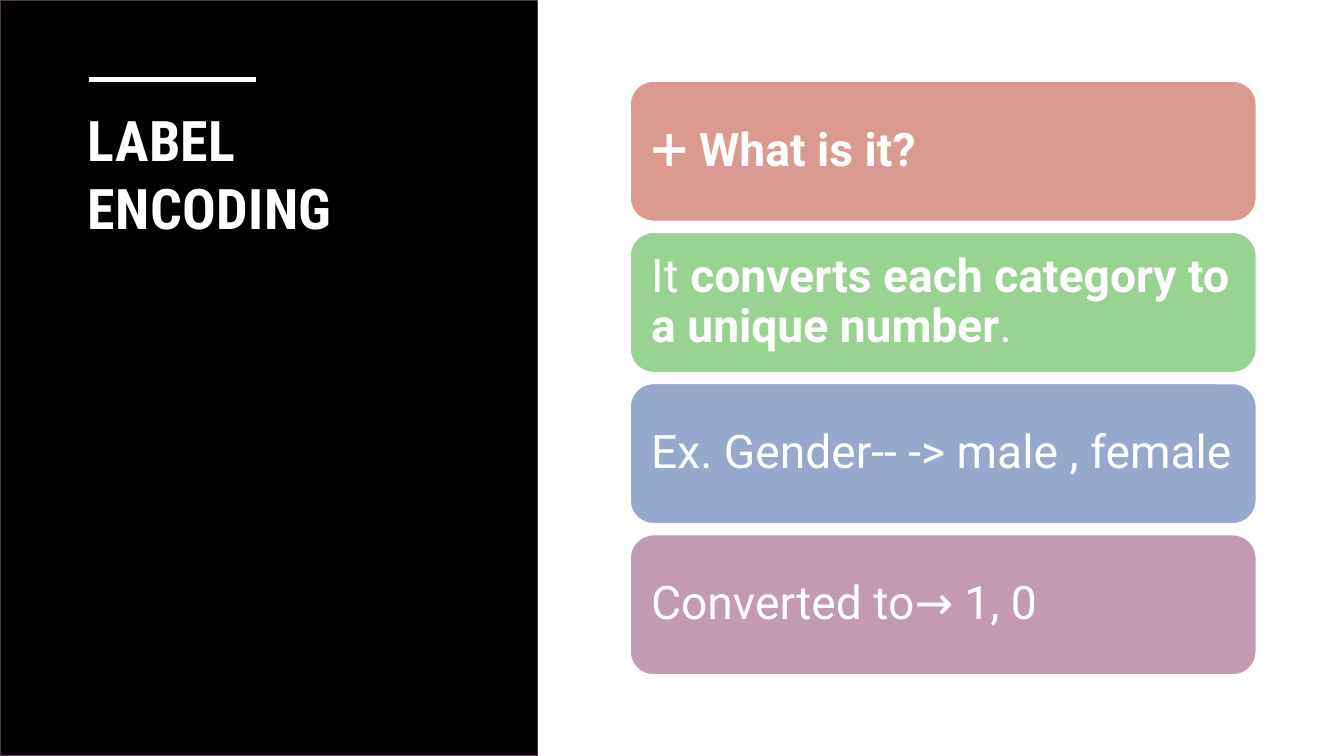
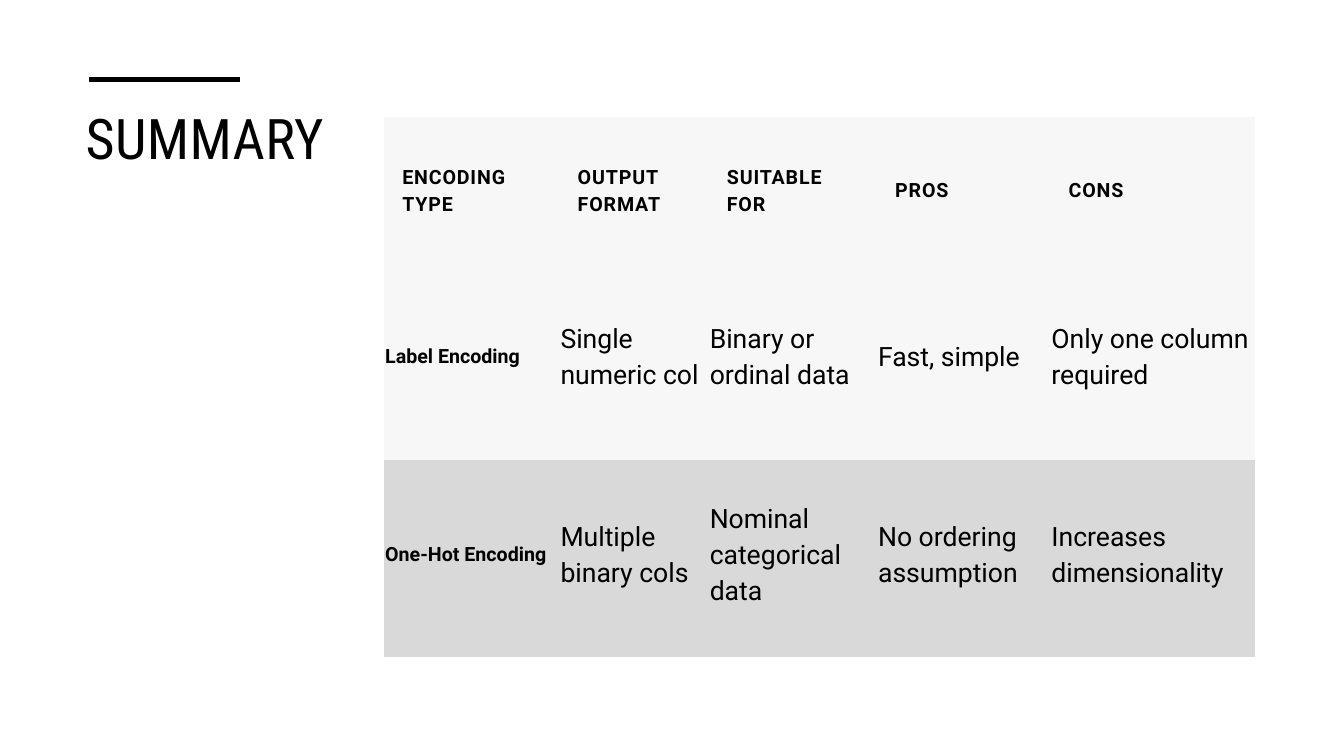
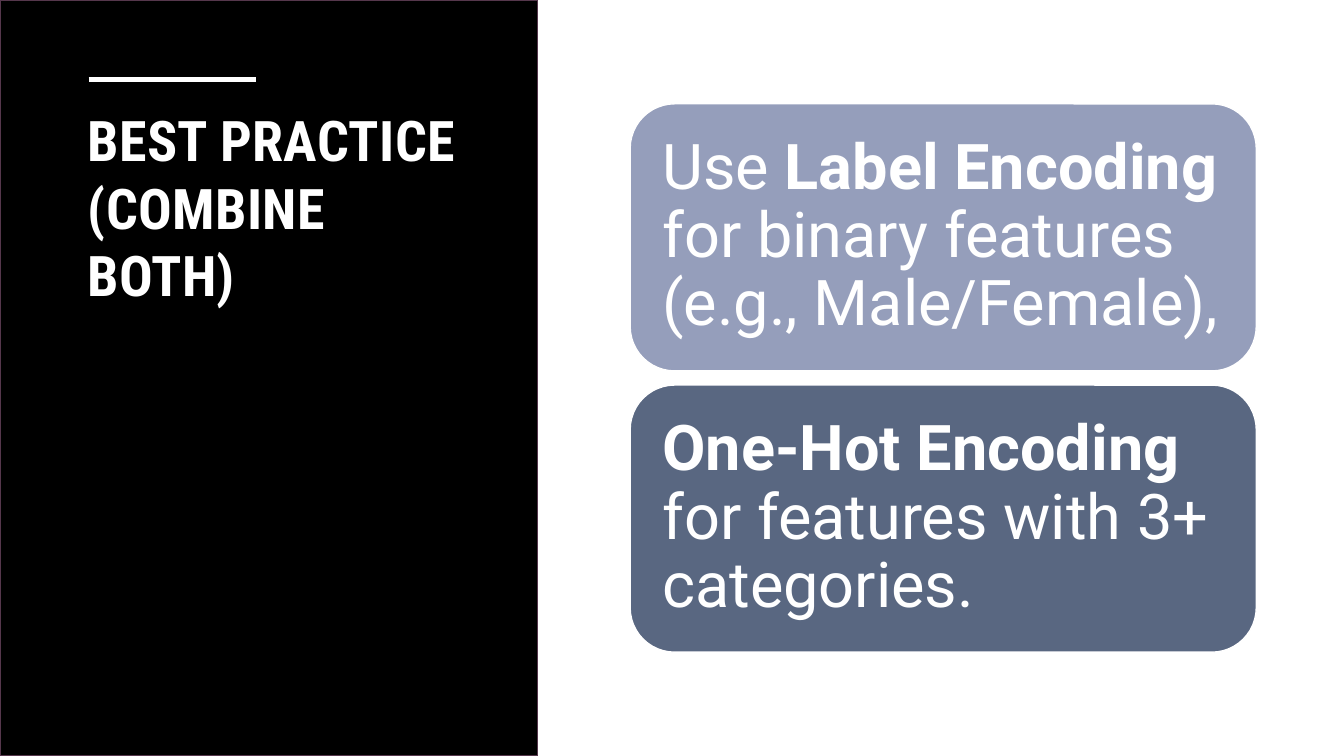
"""Build three slides on categorical encoding: a definition, a summary table and best practice."""
from lxml import etree
from pptx import Presentation
from pptx.dml.color import RGBColor
from pptx.enum.shapes import MSO_CONNECTOR, MSO_SHAPE
from pptx.enum.text import MSO_ANCHOR, MSO_AUTO_SIZE, PP_ALIGN
from pptx.oxml.ns import qn
from pptx.util import Inches, Pt

WIDTH, HEIGHT = 13.33, 7.5
BLACK, WHITE, PANEL_EDGE = "000000", "FFFFFF", "55374C"
HEADER_FILL, ROW_FILLS = "F7F7F7", ("F7F7F7", "D9D9D9")
BODY_FONT, TITLE_FONT = "Roboto", "Roboto Condensed"
NO_STYLE = "{2D5ABB26-0587-4C30-8999-92F81FD0307C}"
CARD_LEFT, CARD_WIDTH = 6.25, 6.21

LABEL_CARDS = [
    ("DB9A8F", [("➕ What is it?", True)]),
    ("98D392", [("It ", False), ("converts each category to a unique number", True), (".", False)]),
    ("96A8CB", [("Ex. Gender-- -> male , female", False)]),
    ("C29AB1", [("Converted to→ 1, 0", False)]),
]
PRACTICE_CARDS = [
    ("959EBB", [("Use ", False), ("Label Encoding", True),
                (" for binary features (e.g., Male/Female),", False)]),
    ("596781", [("One-Hot Encoding", True), (" for features with 3+ categories.", False)]),
]
SUMMARY_ROWS = [
    ("ENCODING TYPE", "OUTPUT FORMAT", "SUITABLE FOR", "PROS", "CONS"),
    ("Label Encoding", "Single numeric col", "Binary or ordinal data", "Fast, simple",
     "Only one column required"),
    ("One-Hot Encoding", "Multiple binary cols", "Nominal categorical data",
     "No ordering assumption", "Increases dimensionality"),
]
COLUMN_WIDTHS = (1.74, 1.48, 1.67, 1.72, 2.03)
ROW_HEIGHTS = (1.44, 1.96, 1.96)


def color(value):
    return RGBColor.from_string(value)


def paint(shape, fill, edge):
    shape.shadow.inherit = False
    shape.fill.solid()
    shape.fill.fore_color.rgb = color(fill)
    shape.line.color.rgb = color(edge)
    shape.line.width = Pt(1)


def style_paragraph(para, name, size, ink, bold=None):
    para.alignment = PP_ALIGN.LEFT
    para.font.name = name
    para.font.size = Pt(size)
    para.font.color.rgb = color(ink)
    para.font.bold = bold


def add_span(para, text, bold=None, spacing=0):
    span = para.add_run()
    span.text = text
    if bold is not None:
        span.font.bold = bold
    if spacing:
        span._r.get_or_add_rPr().set("spc", str(round(spacing * 100)))


def set_margins(frame, left, top, right, bottom):
    frame.margin_left, frame.margin_top = Inches(left), Inches(top)
    frame.margin_right, frame.margin_bottom = Inches(right), Inches(bottom)


def add_titled_page(deck, text, place, ink, rule_width, bold):
    page = deck.slides.add_slide(deck.slide_layouts[5])
    title = page.shapes.title
    title.left, title.top, title.width, title.height = map(Inches, place)
    frame = title.text_frame
    frame.word_wrap = True
    frame.auto_size = MSO_AUTO_SIZE.NONE
    frame.vertical_anchor = MSO_ANCHOR.TOP
    para = frame.paragraphs[0]
    style_paragraph(para, TITLE_FONT, 40, ink, bold)
    add_span(para, text, spacing=0.3)
    rule = page.shapes.add_connector(MSO_CONNECTOR.STRAIGHT, Inches(0.88), Inches(0.79),
                                     Inches(0.88 + rule_width), Inches(0.79))
    rule.line.color.rgb = color(ink)
    rule.line.width = Pt(3.5)
    etree.SubElement(rule._element.spPr, qn("a:effectLst"))
    return page


def add_card_page(deck, title, cards, height, gap, size, margin):
    page = add_titled_page(deck, title, (0.77, 1, 4.07, 4.01), WHITE, 1.66, True)
    panel = page.shapes.add_shape(MSO_SHAPE.RECTANGLE, 0, 0, Inches(5.33), Inches(HEIGHT))
    paint(panel, BLACK, PANEL_EDGE)
    page.shapes._spTree.insert(2, panel._element)
    top = (HEIGHT - len(cards) * height - (len(cards) - 1) * gap) / 2
    for index, (fill, spans) in enumerate(cards):
        card = page.shapes.add_shape(MSO_SHAPE.ROUNDED_RECTANGLE, Inches(CARD_LEFT),
                                     Inches(top + index * (height + gap)),
                                     Inches(CARD_WIDTH), Inches(height))
        paint(card, fill, WHITE)
        frame = card.text_frame
        frame.word_wrap = True
        frame.vertical_anchor = MSO_ANCHOR.MIDDLE
        set_margins(frame, margin, margin, margin, margin)
        para = frame.paragraphs[0]
        para.line_spacing = 0.9
        style_paragraph(para, BODY_FONT, size, WHITE)
        for text, bold in spans:
            add_span(para, text, bold)


def fill_cell(cell, text, row, column):
    header = row == 0
    label = header or column == 0
    cell.fill.solid()
    cell.fill.fore_color.rgb = color(HEADER_FILL if header else ROW_FILLS[row - 1])
    cell.vertical_anchor = MSO_ANCHOR.MIDDLE
    set_margins(cell, *((0.18,) * 4 if header else (0.01, 0.01, 0.01, 0.12)))
    para = cell.text_frame.paragraphs[0]
    para.line_spacing = 1.15
    para.space_after = Pt(8)
    style_paragraph(para, BODY_FONT, 14 if label else 19, BLACK, label)
    add_span(para, text, spacing=0.6 if header else 0)


def add_summary_page(deck):
    page = add_titled_page(deck, "SUMMARY", (0.75, 0.98, 3.36, 4.28), BLACK, 1.5, False)
    frame = page.shapes.add_table(len(SUMMARY_ROWS), len(COLUMN_WIDTHS), Inches(3.81), Inches(1.16),
                                  Inches(sum(COLUMN_WIDTHS)), Inches(sum(ROW_HEIGHTS)))
    table = frame.table
    table.horz_banding = False
    table._tbl.tblPr.find(qn("a:tableStyleId")).text = NO_STYLE
    for column, width in zip(table.columns, COLUMN_WIDTHS):
        column.width = Inches(width)
    for row, height in zip(table.rows, ROW_HEIGHTS):
        row.height = Inches(height)
    for row, texts in enumerate(SUMMARY_ROWS):
        for column, text in enumerate(texts):
            fill_cell(table.cell(row, column), text, row, column)


def main():
    deck = Presentation()
    deck.slide_width, deck.slide_height = Inches(WIDTH), Inches(HEIGHT)
    add_card_page(deck, "LABEL ENCODING", LABEL_CARDS, 1.39, 0.11, 33, 0.14)
    add_summary_page(deck)
    add_card_page(deck, "BEST PRACTICE (COMBINE BOTH)", PRACTICE_CARDS, 2.65, 0.14, 45, 0.19)
    deck.save("out.pptx")


if __name__ == "__main__":
    main()
